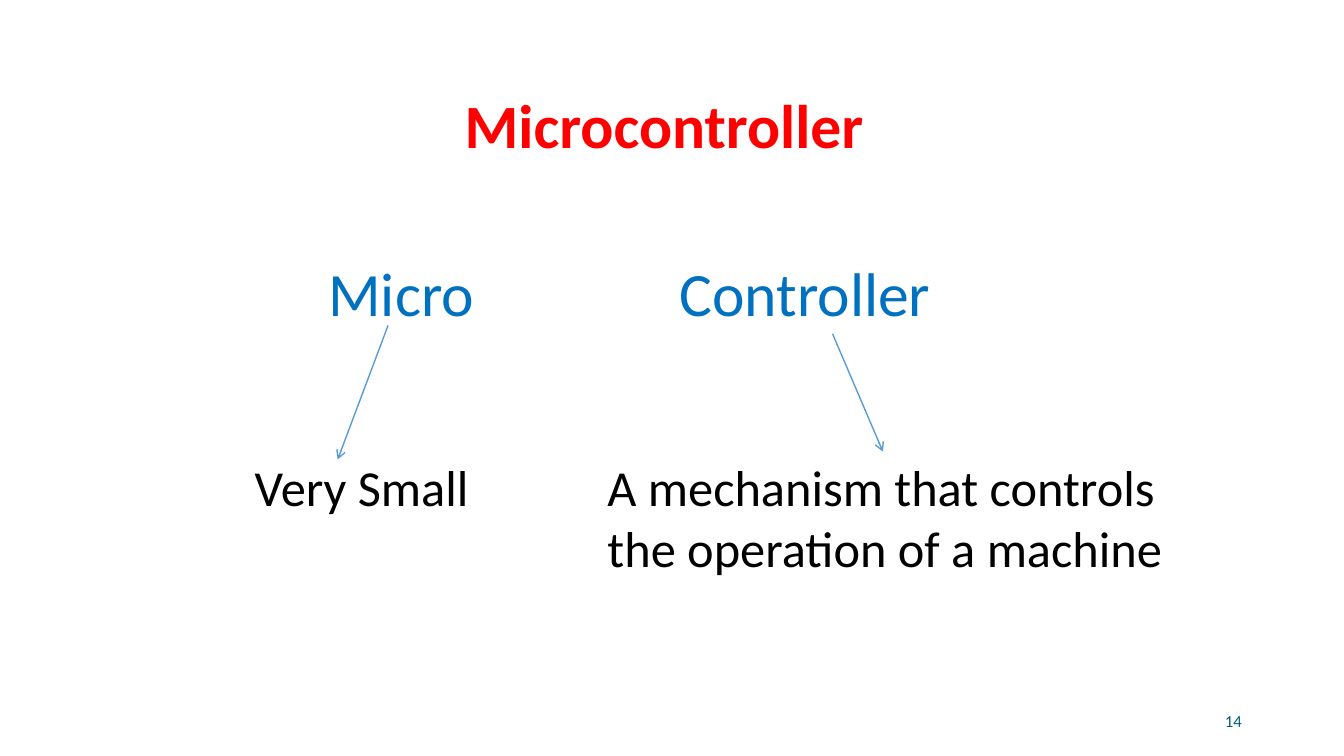
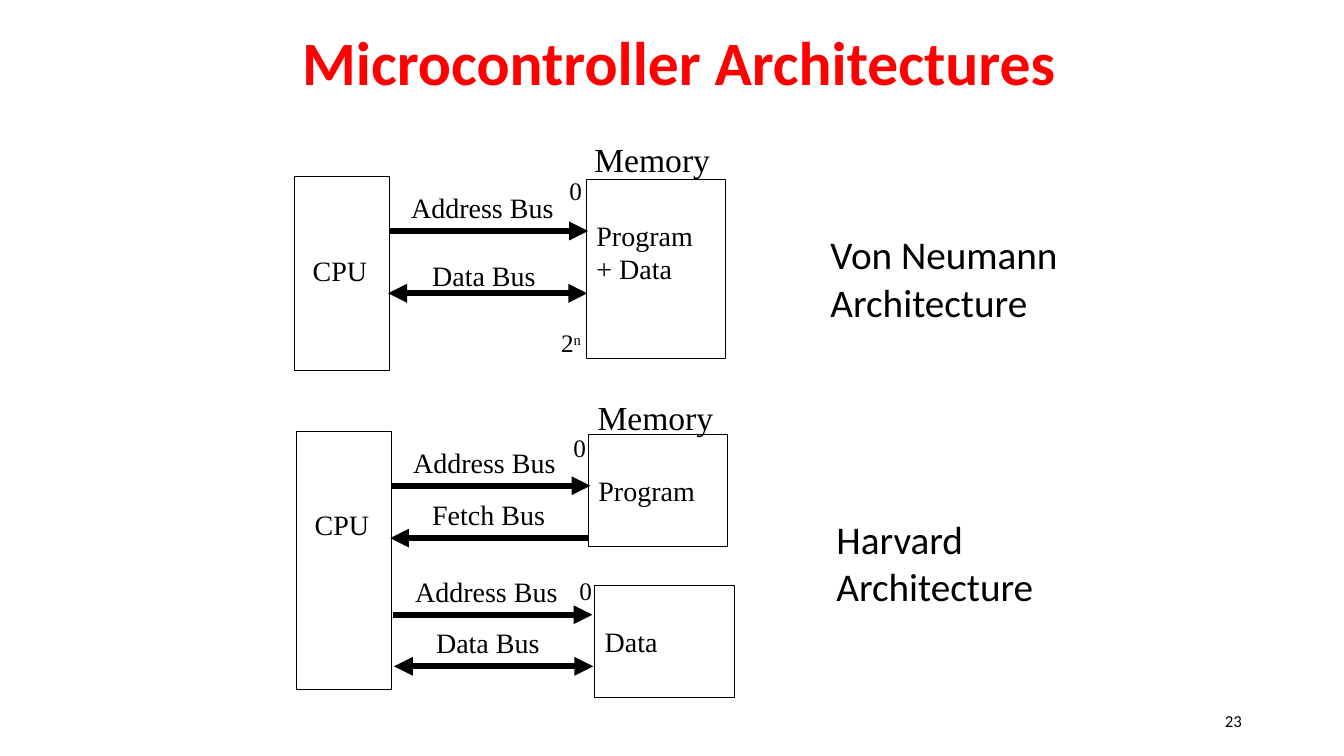
from dataclasses import dataclass

from lxml import etree
from pptx import Presentation
from pptx.dml.color import RGBColor
from pptx.enum.shapes import MSO_CONNECTOR, MSO_SHAPE
from pptx.enum.text import MSO_ANCHOR, MSO_AUTO_SIZE, PP_ALIGN
from pptx.oxml.ns import qn
from pptx.util import Cm, Pt

RED = RGBColor(0xFF, 0x00, 0x00)
BLUE = RGBColor(0x00, 0x70, 0xC0)
ARROW_BLUE = RGBColor(0x5B, 0x9B, 0xD5)
TEAL = RGBColor(0x04, 0x5D, 0x75)
BLACK = RGBColor(0x00, 0x00, 0x00)

SANS = "Calibri"
SERIF = "Times New Roman"

LEFT, CENTER, RIGHT = PP_ALIGN.LEFT, PP_ALIGN.CENTER, PP_ALIGN.RIGHT
TOP, MIDDLE = MSO_ANCHOR.TOP, MSO_ANCHOR.MIDDLE
NO_AUTOFIT = MSO_AUTO_SIZE.NONE
RECTANGLE = MSO_SHAPE.RECTANGLE
STRAIGHT = MSO_CONNECTOR.STRAIGHT

TWO_CONTENT, TITLE_ONLY = 3, 5
BUS_LENGTH = 5.02


@dataclass(frozen=True)
class Label:
    text: str
    left: float
    top: float
    width: float
    size: int
    superscript: str = ""
    font: str = SERIF
    height: float = 1.1


@dataclass(frozen=True)
class WordPart:
    """Half of the word, set in the body placeholder with this index."""
    index: int
    text: str
    left: float
    width: float


@dataclass(frozen=True)
class Block:
    """A CPU or memory rectangle; the insets place its text."""
    text: str
    left: float
    top: float
    width: float
    height: float
    inset_left: float
    inset_top: float
    inset_right: float


@dataclass(frozen=True)
class Bus:
    """A thick arrow whose label sits label_rise above it."""
    text: str
    left: float
    y: float
    label_left: float
    to_cpu: bool = False
    to_memory: bool = True
    label_rise: float = 1.15


@dataclass(frozen=True)
class Architecture:
    blocks: list[Block]
    buses: list[Bus]
    labels: list[Label]


def cpu(left: float, top: float, height: float) -> Block:
    return Block("CPU", left, top, 2.39, height, 0.46, 1.93, 0)


def memory(text: str, left: float, top: float, height: float) -> Block:
    return Block(text, left, top, 3.51, height, 0.25, 0.98, 0.5)


def zero(left: float, top: float) -> Label:
    return Label("0", left, top, 0.9, 18)


VON_NEUMANN = Architecture(
    blocks=[cpu(7.42, 4.45, 4.88), memory("Program + Data", 14.78, 4.52, 4.52)],
    buses=[
        Bus("Address Bus", 9.8, 5.82, 10.11),
        Bus("Data Bus", 9.78, 7.39, 10.64, to_cpu=True, label_rise=0.99),
    ],
    labels=[
        Label("Memory", 14.73, 3.38, 3.6, 24),
        zero(14.1, 4.29),
        Label("2", 13.89, 8.13, 1.1, 18, superscript="n"),
    ],
)
HARVARD = Architecture(
    blocks=[
        cpu(7.47, 10.87, 6.5),
        memory("Program", 14.83, 10.95, 2.82),
        memory("Data", 14.99, 14.76, 2.82),
    ],
    buses=[
        Bus("Address Bus", 9.86, 12.24, 10.16),
        Bus("Fetch Bus", 9.83, 13.56, 10.64, to_cpu=True, to_memory=False),
        Bus("Address Bus", 9.91, 15.49, 10.21),
        Bus("Data Bus", 9.93, 16.79, 10.74, to_cpu=True),
    ],
    labels=[
        Label("Memory", 14.81, 9.88, 3.6, 24),
        zero(14.2, 10.77),
        zero(14.35, 14.38),
    ],
)
ARCHITECTURE_NAMES = [
    Label("Von Neumann\nArchitecture", 20.68, 5.69, 6.6, 28, font=SANS, height=2.64),
    Label("Harvard\nArchitecture", 20.83, 12.85, 5.8, 28, font=SANS, height=2.64),
]
WORD_PARTS = [WordPart(1, "Micro", 8.02, 6), WordPart(2, "Controller", 16.87, 9)]
MEANINGS = [
    Label("Very Small", 6.17, 11.38, 6.5, 36, font=SANS, height=1.8),
    Label("A mechanism that controls\nthe operation of a machine",
          15.06, 11.38, 15.67, 36, font=SANS, height=3.33),
]
MEANING_ARROWS = [((9.78, 8.2), (8.51, 11.58)), ((20.98, 8.41), (22.25, 11.38))]


def place(shape, left: float, top: float, width: float, height: float) -> None:
    shape.left, shape.top = Cm(left), Cm(top)
    shape.width, shape.height = Cm(width), Cm(height)


def format_text(frame, size: int, color: RGBColor, font: str = SANS,
                bold: bool = False, align=LEFT, anchor=TOP) -> None:
    frame.word_wrap = True
    frame.auto_size = NO_AUTOFIT
    frame.vertical_anchor = anchor
    for para in frame.paragraphs:
        para.alignment = align
        for span in para.runs:
            span.font.name = font
            span.font.size = Pt(size)
            span.font.bold = bold
            span.font.color.rgb = color


def add_title(page, text: str, left: float, top: float, width: float) -> None:
    title = page.shapes.title
    place(title, left, top, width, 3.18)
    title.text_frame.text = text
    title.text_frame.paragraphs[0].line_spacing = 0.9
    format_text(title.text_frame, 44, RED, bold=True, align=CENTER, anchor=MIDDLE)


def add_page_number(page, number: int, color: RGBColor) -> None:
    box = page.shapes.add_textbox(Cm(23.93), Cm(17.65), Cm(7.62), Cm(1.02))
    box.text_frame.text = str(number)
    format_text(box.text_frame, 12, color, align=RIGHT, anchor=MIDDLE)


def add_label(shapes, label: Label) -> None:
    box = shapes.add_textbox(Cm(label.left), Cm(label.top),
                             Cm(label.width), Cm(label.height))
    frame = box.text_frame
    frame.text = label.text
    if label.superscript:
        span = frame.paragraphs[0].add_run()
        span.text = label.superscript
        span._r.get_or_add_rPr().set("baseline", "30000")
    format_text(frame, label.size, BLACK, font=label.font)


def add_arrow(shapes, start: tuple[float, float], end: tuple[float, float],
              color: RGBColor, width: float, head: str = "", tail: str = "") -> None:
    """Draw a line; head is the arrowhead at its start, tail the one at its end."""
    arrow = shapes.add_connector(STRAIGHT, Cm(start[0]), Cm(start[1]),
                                 Cm(end[0]), Cm(end[1]))
    arrow.line.color.rgb = color
    arrow.line.width = Pt(width)
    outline = arrow.line._get_or_add_ln()
    for tag, kind in (("a:headEnd", head), ("a:tailEnd", tail)):
        if kind:
            etree.SubElement(outline, qn(tag)).set("type", kind)
    etree.SubElement(arrow._element.spPr, qn("a:effectLst"))


def add_block(shapes, block: Block) -> None:
    box = shapes.add_shape(RECTANGLE, Cm(block.left), Cm(block.top),
                           Cm(block.width), Cm(block.height))
    box.shadow.inherit = False
    box.fill.background()
    box.line.color.rgb = BLACK
    box.line.width = Pt(0.75)
    frame = box.text_frame
    frame.text = block.text
    frame.margin_left = Cm(block.inset_left)
    frame.margin_top = Cm(block.inset_top)
    frame.margin_right = Cm(block.inset_right)
    format_text(frame, 20, BLACK, font=SERIF)


def add_bus(shapes, bus: Bus) -> None:
    add_arrow(shapes, (bus.left, bus.y), (bus.left + BUS_LENGTH, bus.y), BLACK, 4.5,
              head="triangle" if bus.to_cpu else "",
              tail="triangle" if bus.to_memory else "")
    add_label(shapes, Label(bus.text, bus.label_left, bus.y - bus.label_rise, 4.3, 20))


def add_architecture(page, architecture: Architecture) -> None:
    shapes = page.shapes.add_group_shape().shapes
    for block in architecture.blocks:
        add_block(shapes, block)
    for bus in architecture.buses:
        add_bus(shapes, bus)
    for label in architecture.labels:
        add_label(shapes, label)


def add_word_part(page, part: WordPart) -> None:
    body = page.placeholders[part.index]
    place(body, part.left, 6.5, part.width, 1.98)
    para = body.text_frame.paragraphs[0]
    para.text = part.text
    para.line_spacing = 0.9
    para.space_before = Pt(0)
    properties = para._p.get_or_add_pPr()
    properties.set("marL", "0")
    properties.set("indent", "0")
    etree.SubElement(properties, qn("a:buNone"))
    format_text(body.text_frame, 44, BLUE)


def build_word_page(deck) -> None:
    page = deck.slides.add_slide(deck.slide_layouts[TWO_CONTENT])
    add_title(page, "Microcontroller", 4.04, 1.65, 25.4)
    for part in WORD_PARTS:
        add_word_part(page, part)
    add_page_number(page, 14, TEAL)
    for meaning in MEANINGS:
        add_label(page.shapes, meaning)
    for start, end in MEANING_ARROWS:
        add_arrow(page.shapes, start, end, ARROW_BLUE, 1, tail="arrow")


def build_architecture_page(deck) -> None:
    page = deck.slides.add_slide(deck.slide_layouts[TITLE_ONLY])
    add_title(page, "Microcontroller Architectures", 1.88, 0.05, 30.48)
    add_page_number(page, 23, BLACK)
    for name in ARCHITECTURE_NAMES:
        add_label(page.shapes, name)
    for architecture in (HARVARD, VON_NEUMANN):
        add_architecture(page, architecture)


def main() -> None:
    deck = Presentation()
    deck.slide_width, deck.slide_height = Cm(33.87), Cm(19.05)
    build_word_page(deck)
    build_architecture_page(deck)
    deck.save("out.pptx")


if __name__ == "__main__":
    main()
